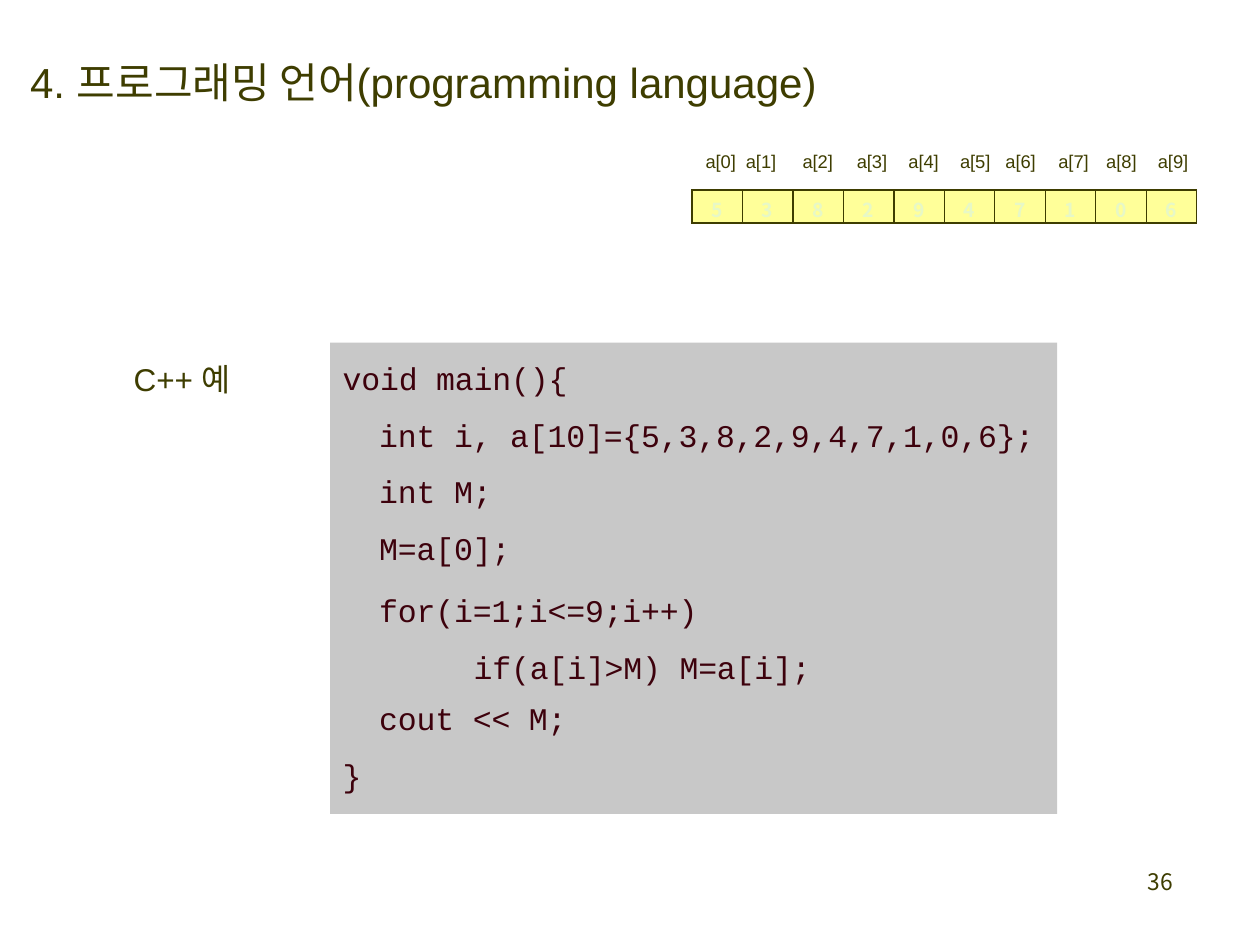
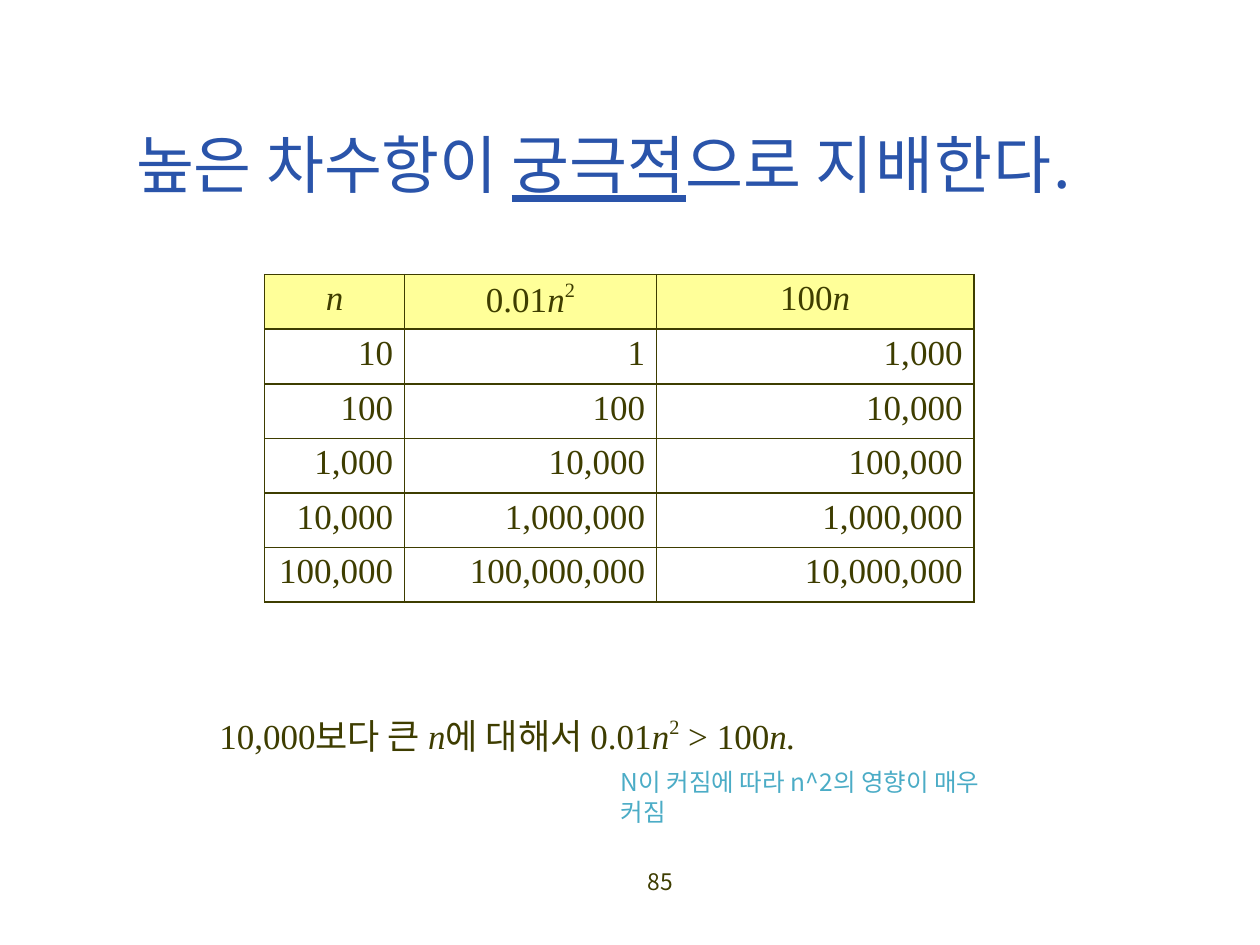
import dataclasses

import lxml.etree
import pptx
import pptx.dml.color
import pptx.enum.shapes
import pptx.enum.text
import pptx.oxml.ns
import pptx.util

OLIVE = pptx.dml.color.RGBColor(0x3E, 0x3D, 0x00)
MAROON = pptx.dml.color.RGBColor(0x3D, 0x01, 0x0C)
BLUE = pptx.dml.color.RGBColor(0x2A, 0x54, 0xAA)
TEAL = pptx.dml.color.RGBColor(0x4B, 0xAC, 0xC6)
PALE_GREEN = pptx.dml.color.RGBColor(0xE7, 0xF8, 0xC7)
YELLOW = pptx.dml.color.RGBColor(0xFF, 0xFF, 0x99)
GRAY = pptx.dml.color.RGBColor(0xC8, 0xC8, 0xC8)

SANS = "Arial"
MONO = "Courier New"
SERIF = "Times New Roman"
KOREAN = "Noto Sans CJK KR"

SLIDE_WIDTH = pptx.util.Inches(10)
SLIDE_HEIGHT = pptx.util.Inches(7.5)
COLUMN = SLIDE_WIDTH / 100
ROW = SLIDE_HEIGHT / 75
CENTER = pptx.enum.text.PP_ALIGN.CENTER
RIGHT = pptx.enum.text.PP_ALIGN.RIGHT


def columns(count: float) -> pptx.util.Emu:
    return pptx.util.Emu(round(count * COLUMN))


def rows(count: float) -> pptx.util.Emu:
    return pptx.util.Emu(round(count * ROW))


@dataclasses.dataclass(frozen=True)
class Area:
    left: float
    top: float
    width: float
    height: float

    def box(self) -> tuple:
        return columns(self.left), rows(self.top), columns(self.width), rows(self.height)


@dataclasses.dataclass(frozen=True)
class Style:
    face: str
    size: float
    color: pptx.dml.color.RGBColor = OLIVE
    bold: bool = False


@dataclasses.dataclass(frozen=True)
class Piece:
    text: str
    face: str = ""
    italic: bool = False
    underline: bool = False
    raised: bool = False
    tracking: float = 0


@dataclasses.dataclass(frozen=True)
class Line:
    pieces: tuple
    indent: float = 0.1
    before: float = 0
    spacing: float = 0
    align: pptx.enum.text.PP_ALIGN | None = None


def plain(text: str, tracking: float = 0, **layout) -> Line:
    return Line((Piece(text, tracking=tracking),), **layout)


INDEX_STYLE = Style(SANS, 10.5)
VALUE_STYLE = Style(KOREAN, 11, PALE_GREEN, bold=True)
GROWTH_STYLE = Style(SERIF, 20)
CODE_STYLE = Style(MONO, 18, MAROON)
NUMBER_STYLE = Style(KOREAN, 13)

ARRAY_VALUES = (5, 3, 8, 2, 9, 4, 7, 1, 0, 6)
INDEX_LEFTS = (55.9, 59.1, 63.6, 67.9, 72, 76.1, 79.7, 83.9, 87.7, 91.8)
CODE_LINES = (
    plain("void main(){", -0.1, indent=1),
    plain("int i, a[10]={5,3,8,2,9,4,7,1,0,6};", -0.1, indent=3.9, before=10.8),
    plain("int M;", -0.1, indent=3.9, before=10.8),
    plain("M=a[0];", -0.1, indent=3.9, before=10.8),
    plain("for(i=1;i<=9;i++)", -0.1, indent=3.9, before=2.9, spacing=32.4),
    plain("if(a[i]>M) M=a[i];", -0.1, indent=11.4, spacing=32.4),
    plain("cout << M;", -0.1, indent=3.9, before=8),
    plain("}", indent=1, before=10.8),
)

VARIABLE = Piece("n", italic=True)
SQUARE = Piece("2", raised=True)
GROWTH_HEADER = ((VARIABLE,), (Piece("0.01"), VARIABLE, SQUARE), (Piece("100"), VARIABLE))
GROWTH_SIZES = tuple(10 ** power for power in range(1, 6))


def set_face(font: pptx.text.text.Font, face: str) -> None:
    font.name = face
    latin = font._element.find(pptx.oxml.ns.qn("a:latin"))
    east_asian = lxml.etree.Element(pptx.oxml.ns.qn("a:ea"), typeface=face)
    latin.addnext(east_asian)


def write_lines(frame: pptx.text.text.TextFrame, lines: tuple, style: Style) -> None:
    for position, line in enumerate(lines):
        paragraph = frame.add_paragraph() if position else frame.paragraphs[0]
        properties = paragraph._p.get_or_add_pPr()
        properties.set("marL", str(columns(line.indent)))
        properties.set("indent", "0")
        set_face(paragraph.font, style.face)
        paragraph.font.size = pptx.util.Pt(style.size)
        paragraph.font.color.rgb = style.color
        paragraph.font.bold = style.bold
        paragraph.alignment = line.align or pptx.enum.text.PP_ALIGN.LEFT
        if line.before:
            paragraph.space_before = pptx.util.Pt(line.before)
        if line.spacing:
            paragraph.line_spacing = pptx.util.Pt(line.spacing)
        for piece in line.pieces:
            run = paragraph.add_run()
            run.text = piece.text
            if piece.face:
                set_face(run.font, piece.face)
            if piece.italic:
                run.font.italic = True
            if piece.underline:
                run.font.underline = pptx.enum.text.MSO_UNDERLINE.HEAVY_LINE
            if piece.raised:
                run.font._element.set("baseline", "43000")
            if piece.tracking:
                run.font._element.set("spc", str(round(piece.tracking * 100)))


def set_margins(target, left: float, top: float, right: float, bottom: float) -> None:
    target.margin_left, target.margin_right = columns(left), columns(right)
    target.margin_top, target.margin_bottom = rows(top), rows(bottom)


def add_text(slide: pptx.slide.Slide, area: Area, line: Line, style: Style,
             margins: tuple = (0, 0.1, 0, 0)) -> None:
    frame = slide.shapes.add_textbox(*area.box()).text_frame
    frame.word_wrap = True
    set_margins(frame, *margins)
    write_lines(frame, (line,), style)


def add_code(slide: pptx.slide.Slide, area: Area) -> None:
    panel = slide.shapes.add_shape(pptx.enum.shapes.MSO_SHAPE.RECTANGLE, *area.box())
    panel.shadow.inherit = False
    panel.fill.solid()
    panel.fill.fore_color.rgb = GRAY
    panel.line.fill.background()
    frame = panel.text_frame
    frame.word_wrap = True
    frame.vertical_anchor = pptx.enum.text.MSO_ANCHOR.TOP
    set_margins(frame, 0, 1.3, 0, 0)
    write_lines(frame, CODE_LINES, CODE_STYLE)


def add_borders(cell: pptx.table._Cell) -> None:
    properties = cell._tc.get_or_add_tcPr()
    for side in ("lnL", "lnR", "lnT", "lnB"):
        border = lxml.etree.SubElement(properties, pptx.oxml.ns.qn(f"a:{side}"), w=str(pptx.util.Pt(1)))
        fill = lxml.etree.SubElement(border, pptx.oxml.ns.qn("a:solidFill"))
        lxml.etree.SubElement(fill, pptx.oxml.ns.qn("a:srgbClr"), val=str(OLIVE))


def add_grid(slide: pptx.slide.Slide, area: Area, widths: tuple, grid: list, style: Style) -> None:
    table = slide.shapes.add_table(len(grid), len(widths), *area.box()).table
    table.first_row = table.horz_banding = False
    for column, width in zip(table.columns, widths):
        column.width = columns(width)
    for row_number, lines in enumerate(grid):
        table.rows[row_number].height = rows(area.height / len(grid))
        for column_number, line in enumerate(lines):
            cell = table.cell(row_number, column_number)
            set_margins(cell, 0, 0.4, 0.9 if line.align == RIGHT else 0, 0)
            add_borders(cell)
            if row_number == 0:
                cell.fill.solid()
                cell.fill.fore_color.rgb = YELLOW
            else:
                cell.fill.background()
            write_lines(cell.text_frame, (line,), style)


def build_language_slide(slide: pptx.slide.Slide) -> None:
    title = Line((Piece("4. "), Piece("프로그래밍 언어", KOREAN), Piece("(programming language)")))
    add_text(slide, Area(2.3, 4.4, 64.7, 4.3), title, Style(SANS, 24))
    add_code(slide, Area(26.2, 27.2, 57.7, 37.4))
    values = [plain(str(value), indent=0, align=CENTER) for value in ARRAY_VALUES]
    widths = (40.1 / len(values),) * len(values)
    add_grid(slide, Area(54.9, 15.1, 40.1, 2.6), widths, [values], VALUE_STYLE)
    for index, left in enumerate(INDEX_LEFTS):
        add_text(slide, Area(left, 11.8, 3, 2), plain(f"a[{index}]"), INDEX_STYLE)
    example = Line((Piece("C++ "), Piece("예", KOREAN)))
    add_text(slide, Area(10.5, 28.5, 8.2, 3.3), example, Style(SANS, 18))
    add_text(slide, Area(90.7, 69, 2.9, 6.3), plain("36", indent=0.4, spacing=14.7),
             NUMBER_STYLE, (0, 0, 0, 0))


def build_growth_slide(slide: pptx.slide.Slide) -> None:
    header = [Line(pieces, indent=0, align=CENTER) for pieces in GROWTH_HEADER]
    body = [
        [plain(f"{value:,}", indent=0, align=RIGHT) for value in (size, size * size // 100, 100 * size)]
        for size in GROWTH_SIZES
    ]
    add_grid(slide, Area(21, 21.8, 56.3, 26), (11.1, 20, 25.2), [header, *body], GROWTH_STYLE)
    title = Line((
        Piece("높은 차수항이 "), Piece("궁극적", underline=True), Piece("으로 "), Piece("지배한다.", tracking=0.8),
    ))
    add_text(slide, Area(10.7, 9.9, 82, 6.3), title, Style(KOREAN, 36, BLUE))
    conclusion = Line((
        Piece("10,000"), Piece("보다 큰 ", KOREAN), VARIABLE, Piece("에 대해서 ", KOREAN),
        Piece("0.01"), VARIABLE, SQUARE, Piece(" > 100"), Piece("n.", italic=True),
    ), indent=0.4)
    add_text(slide, Area(17, 56.6, 48.5, 3.6), conclusion, GROWTH_STYLE)
    add_text(slide, Area(51.3, 68.8, 2.3, 4.5), plain("85"), NUMBER_STYLE)
    add_text(slide, Area(48.3, 60.4, 34.4, 3.4), plain("N이 커짐에 따라 n^2의 영향이 매우 커짐", indent=0),
             Style(KOREAN, 14, TEAL), (1, 0.5, 1, 0.5))


def main() -> None:
    presentation = pptx.Presentation()
    presentation.slide_width = SLIDE_WIDTH
    presentation.slide_height = SLIDE_HEIGHT
    for build in (build_language_slide, build_growth_slide):
        build(presentation.slides.add_slide(presentation.slide_layouts[6]))
    presentation.save("out.pptx")


if __name__ == "__main__":
    main()
